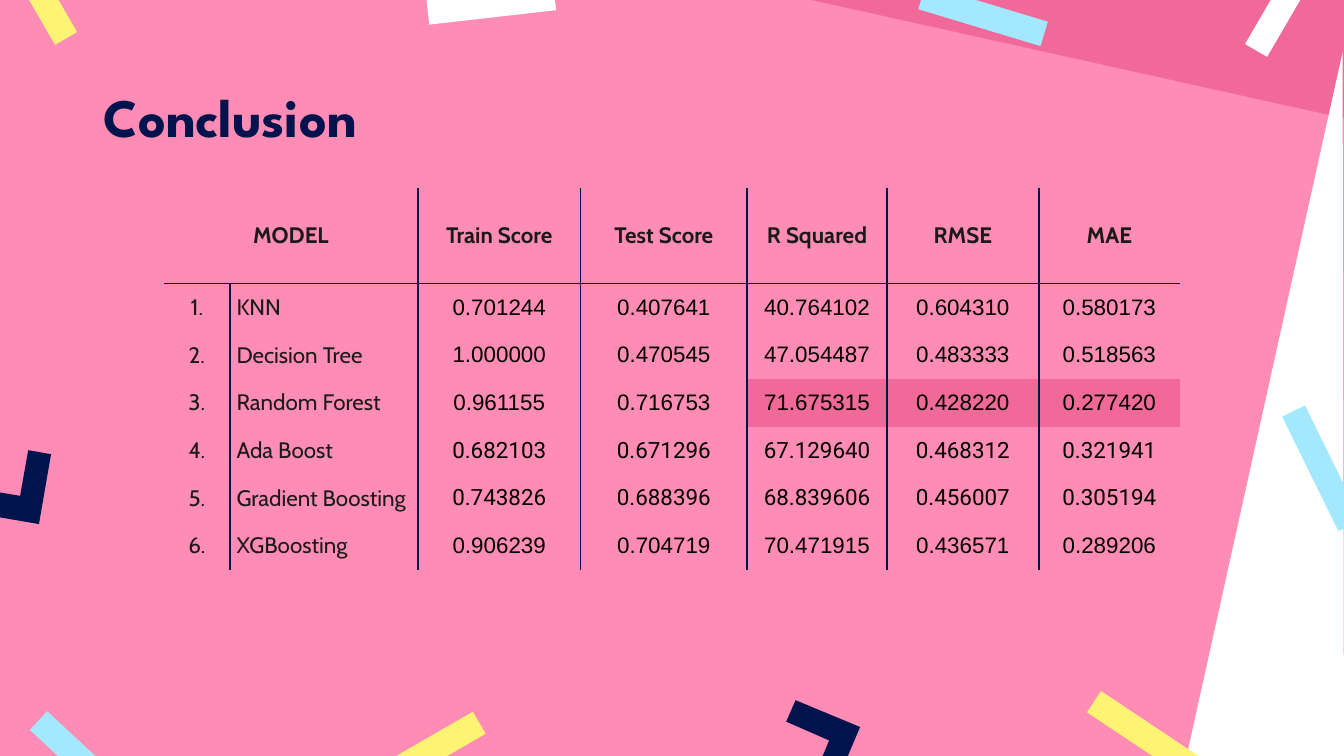
from dataclasses import dataclass
from itertools import product

from lxml.etree import SubElement
from pptx import Presentation
from pptx.dml.color import RGBColor
from pptx.enum.shapes import MSO_SHAPE
from pptx.enum.text import MSO_ANCHOR as Anchor, MSO_AUTO_SIZE as AutoSize, PP_ALIGN as Align
from pptx.oxml.ns import qn
from pptx.util import Inches, Pt


@dataclass(frozen=True)
class Theme:
    pink: str = "FF8CB4"
    rose: str = "F06998"
    navy: str = "00134D"
    sky: str = "A3E8FF"
    yellow: str = "FFF373"
    white: str = "FFFFFF"
    ink: str = "1C191B"
    black: str = "000000"
    title_font: str = "League Spartan"
    label_font: str = "Cabin"
    title_size: int = 29
    table_size: int = 12
    rule_width: int = 1


@dataclass(frozen=True)
class Strip:
    left: float
    top: float
    rotation: float
    color: str


@dataclass(frozen=True)
class Outline:
    points: tuple
    color: str


@dataclass(frozen=True)
class Model:
    name: str
    scores: tuple
    score_font: str = "Arial"
    best: tuple = ()


THEME = Theme()
SLIDE_WIDTH = 10
SLIDE_HEIGHT = SLIDE_WIDTH * 9 / 16
STRIP_SIZE = (0.19, 0.95)

OUTLINES = [
    Outline(((10, 0), (10, 0.88), (6.04, 0)), THEME.rose),
    Outline(((9.99, 0.39), (8.83, SLIDE_HEIGHT), (10, SLIDE_HEIGHT)), THEME.white),
    Outline(((5.92, 5.21), (5.85, 5.37), (6.17, 5.51), (6.03, 5.84), (6.36, 5.98),
             (6.25, 6.22), (6.42, 6.29), (6.59, 5.88), (6.26, 5.74), (6.4, 5.41)), THEME.navy),
    Outline(((0.38, 3.38), (0.21, 3.35), (0.15, 3.69), (-0.21, 3.63), (-0.27, 3.99),
             (-0.54, 3.94), (-0.57, 4.11), (-0.13, 4.19), (-0.06, 3.84), (0.29, 3.9)), THEME.navy),
]
STRIPS = [
    Strip(0.54, 5.21, 312.9, THEME.sky),
    Strip(7.22, -0.36, 286.8, THEME.sky),
    Strip(8.44, 5.01, 303.7, THEME.yellow),
    Strip(0.16, -0.6, 330, THEME.yellow),
    Strip(3.06, 5.14, 240, THEME.yellow),
    Strip(9.49, -0.51, 30.2, THEME.white),
    Strip(3.56, -0.44, 83.5, THEME.white),
    Strip(9.74, 3.01, 333.8, THEME.sky),
]

HEADINGS = ("MODEL", "", "Train Score", "Test Score", "R Squared", "RMSE", "MAE")
MODELS = [
    Model("KNN", ("0.701244", "0.407641", "40.764102", "0.604310", "0.580173")),
    Model("Decision Tree", ("1.000000", "0.470545", "47.054487", "0.483333", "0.518563")),
    Model("Random Forest", ("0.961155", "0.716753", "71.675315", "0.428220", "0.277420"),
          best=(4, 5, 6)),
    Model("Ada Boost", ("0.682103", "0.671296", "67.129640", "0.468312", "0.321941"), "Roboto"),
    Model("Gradient Boosting", ("0.743826", "0.688396", "68.839606", "0.456007", "0.305194"), "Roboto"),
    Model("XGBoosting", ("0.906239", "0.704719", "70.471915", "0.436571", "0.289206")),
]
COLUMN_WIDTHS = (0.49, 1.4, 1.21, 1.24, 1.04, 1.13, 1.05)
HEADER_HEIGHT = 0.71
BODY_HEIGHT = 2.13
NO_GRID_STYLE = "{2D5ABB26-0587-4C30-8999-92F81FD0307C}"


def rgb(color: str) -> RGBColor:
    return RGBColor.from_string(color)


def paint(shape, color: str) -> None:
    shape.shadow.inherit = False
    shape.fill.solid()
    shape.fill.fore_color.rgb = rgb(color)
    shape.line.fill.background()


def draw_outline(slide, outline: Outline) -> None:
    points = [(Inches(x), Inches(y)) for x, y in outline.points]
    builder = slide.shapes.build_freeform(*points[0])
    builder.add_line_segments(points[1:], close=True)
    paint(builder.convert_to_shape(), outline.color)


def draw_strip(slide, strip: Strip) -> None:
    box = (strip.left, strip.top, *STRIP_SIZE)
    confetti = slide.shapes.add_shape(MSO_SHAPE.RECTANGLE, *map(Inches, box))
    confetti.rotation = strip.rotation
    paint(confetti, strip.color)


def add_text(paragraph, text: str, font: str, size: int, color: str, bold: bool) -> None:
    run = paragraph.add_run()
    run.text = text
    run.font.name = font
    run.font.size = Pt(size)
    run.font.bold = bold
    run.font.color.rgb = rgb(color)


def draw_title(slide, text: str) -> None:
    title = slide.shapes.title
    title.left, title.top, title.width, title.height = map(Inches, (0.67, 0.58, 8.66, 0.56))
    frame = title.text_frame
    frame.auto_size = AutoSize.NONE
    frame.word_wrap = True
    frame.vertical_anchor = Anchor.MIDDLE
    frame.margin_left = frame.margin_right = frame.margin_top = frame.margin_bottom = Inches(0.1)
    heading = frame.paragraphs[0]
    heading.alignment = Align.LEFT
    add_text(heading, text, THEME.title_font, THEME.title_size, THEME.navy, True)


def rule_cell(cell, sides: dict) -> None:
    properties = cell._tc.get_or_add_tcPr()
    for tag, visible in sides.items():
        line = SubElement(properties, qn(f"a:{tag}"), w=str(Pt(THEME.rule_width)))
        if visible:
            fill = SubElement(line, qn("a:solidFill"))
            SubElement(fill, qn("a:srgbClr"), val=THEME.navy)
        else:
            SubElement(line, qn("a:noFill"))


def write_cell(cell, row: int, column: int) -> None:
    header = row == 0
    model = None if header else MODELS[row - 1]
    text = HEADINGS[column] if header else (f"{row}.", model.name, *model.scores)[column]
    is_score = not header and column > 1
    margin = Inches(0.1 if header else 0.05)
    cell.margin_left = cell.margin_right = cell.margin_top = cell.margin_bottom = margin
    cell.vertical_anchor = Anchor.MIDDLE
    rule_cell(cell, {"lnL": column > 0, "lnR": column < len(HEADINGS) - 1,
                     "lnT": row == 1, "lnB": header})
    if model and column in model.best:
        cell.fill.solid()
        cell.fill.fore_color.rgb = rgb(THEME.rose)
    else:
        cell.fill.background()
    if text:
        paragraph = cell.text_frame.paragraphs[0]
        paragraph.alignment = Align.LEFT if column == 1 else Align.CENTER
        font = model.score_font if is_score else THEME.label_font
        color = THEME.black if is_score else THEME.ink
        add_text(paragraph, text, font, THEME.table_size, color, header)


def draw_scores(slide) -> None:
    size = (len(MODELS) + 1, len(HEADINGS))
    box = (1.22, 1.4, sum(COLUMN_WIDTHS), HEADER_HEIGHT + BODY_HEIGHT)
    scores = slide.shapes.add_table(*size, *map(Inches, box)).table
    scores.first_row = scores.horz_banding = False
    scores._tbl.tblPr.find(qn("a:tableStyleId")).text = NO_GRID_STYLE
    for column, width in zip(scores.columns, COLUMN_WIDTHS):
        column.width = Inches(width)
    for index, row in enumerate(scores.rows):
        row.height = Inches(BODY_HEIGHT / len(MODELS) if index else HEADER_HEIGHT)
    scores.cell(0, 0).merge(scores.cell(0, 1))
    for row, column in product(*map(range, size)):
        write_cell(scores.cell(row, column), row, column)


def main() -> None:
    deck = Presentation()
    deck.slide_width, deck.slide_height = Inches(SLIDE_WIDTH), Inches(SLIDE_HEIGHT)
    slide = deck.slides.add_slide(deck.slide_layouts[5])
    slide.background.fill.solid()
    slide.background.fill.fore_color.rgb = rgb(THEME.pink)
    for outline in OUTLINES:
        draw_outline(slide, outline)
    for strip in STRIPS:
        draw_strip(slide, strip)
    draw_title(slide, "Conclusion")
    draw_scores(slide)
    deck.save("out.pptx")


if __name__ == "__main__":
    main()
